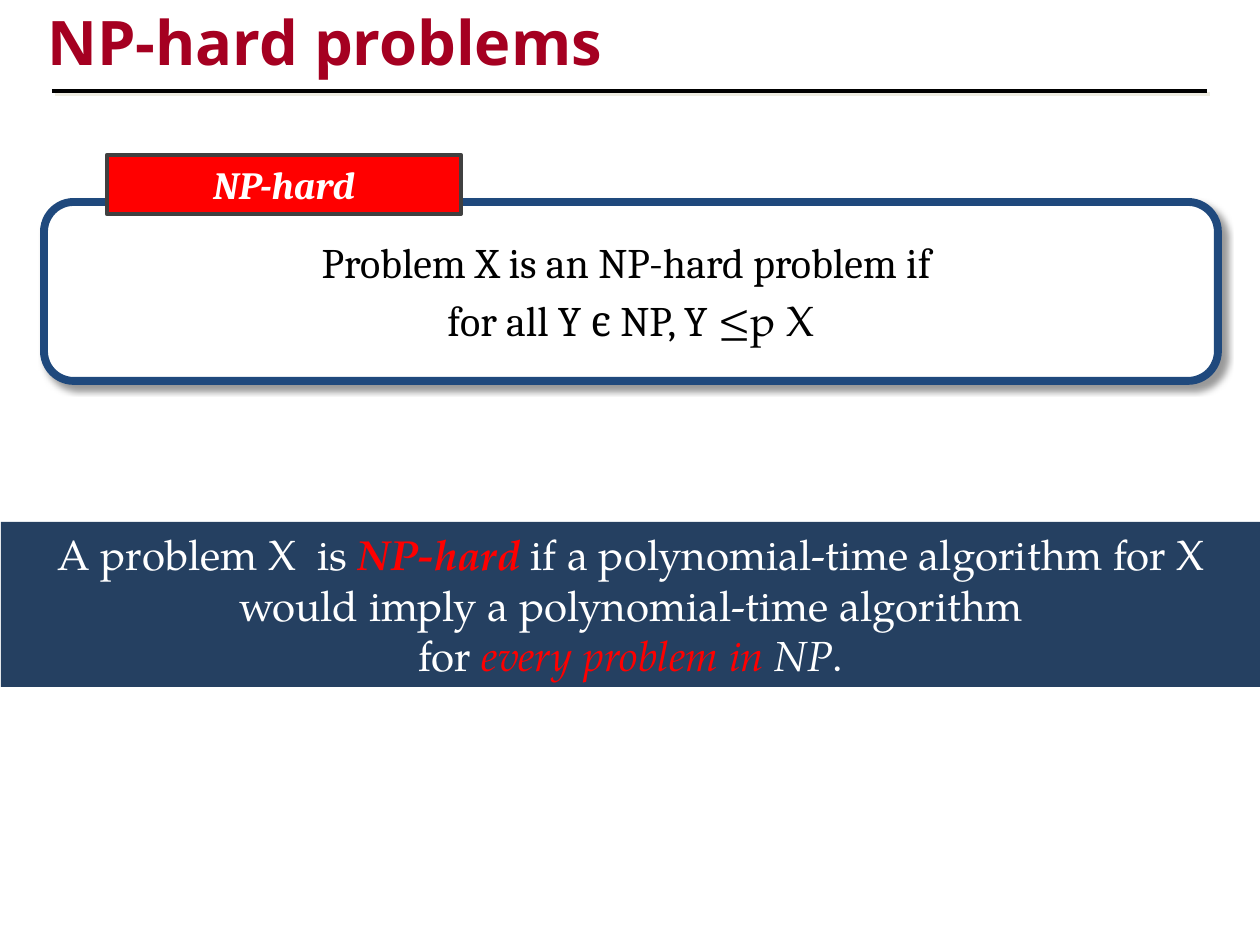
from lxml import etree
from pptx import Presentation
from pptx.dml.color import RGBColor
from pptx.enum.shapes import MSO_CONNECTOR, MSO_SHAPE
from pptx.enum.text import MSO_ANCHOR, PP_ALIGN
from pptx.oxml.ns import qn
from pptx.util import Emu, Pt

RECTANGLE = MSO_SHAPE.RECTANGLE
ROUNDED = MSO_SHAPE.ROUNDED_RECTANGLE
STRAIGHT = MSO_CONNECTOR.STRAIGHT
MIDDLE, TOP = MSO_ANCHOR.MIDDLE, MSO_ANCHOR.TOP
CENTER, LEFT = PP_ALIGN.CENTER, PP_ALIGN.LEFT
EMU_PER_PX = 914400 / 126
SANS, SERIF, PAGELLA = "Open Sans", "Cambria", "TeX Gyre Pagella"
COLORS = {
    "title": "A50021",
    "black": "000000",
    "white": "FFFFFF",
    "red": "FF0000",
    "frame": "1F497D",
    "tag_line": "404040",
    "banner": "254061",
    "soft_shadow": "EEECE1",
}


def px(length):
    """Turn a length in pixels into EMU."""
    return Emu(round(length * EMU_PER_PX))


def rgb(name):
    """Return the named colour."""
    return RGBColor.from_string(COLORS[name])


def add_shadow(properties, color, alpha, blur, distance):
    """Append an effect list with a shadow cast to the lower right."""
    effects = etree.SubElement(properties, qn("a:effectLst"))
    shadow = etree.SubElement(
        effects, qn("a:outerShdw"),
        blurRad=str(Pt(blur)), dist=str(Pt(distance)),
        dir=str(45 * 60000), algn="tl", rotWithShape="0",
    )
    tint = etree.SubElement(shadow, qn("a:srgbClr"), val=COLORS[color])
    etree.SubElement(tint, qn("a:alpha"), val=str(alpha * 1000))


def add_run(paragraph, text, font, size, color, bold=False, italic=False):
    """Add one formatted run and return it."""
    run = paragraph.add_run()
    run.text = text
    run.font.size = Pt(size)
    run.font.bold = bold
    run.font.italic = italic
    run.font.color.rgb = rgb(color)
    run.font.name = font
    return run


def add_paragraphs(shape, paragraphs, wrap=True):
    """Fill a shape with centred paragraphs, each a list of runs."""
    frame = shape.text_frame
    frame.word_wrap = wrap
    frame.vertical_anchor = MIDDLE
    for index, runs in enumerate(paragraphs):
        paragraph = frame.add_paragraph() if index else frame.paragraphs[0]
        paragraph.alignment = CENTER
        for run in runs:
            add_run(paragraph, *run)


def add_box(slide, kind, bounds, fill, line=None, width=0):
    """Add a filled shape, outlined when a line colour is given."""
    shape = slide.shapes.add_shape(kind, *map(px, bounds))
    shape.shadow.inherit = False
    shape.fill.solid()
    shape.fill.fore_color.rgb = rgb(fill)
    if line:
        shape.line.color.rgb = rgb(line)
        shape.line.width = Pt(width)
    else:
        shape.line.fill.background()
    return shape


def add_title(slide, text):
    """Add the shadowed slide title."""
    box = slide.shapes.add_textbox(px(35), px(1), px(1071), px(84))
    frame = box.text_frame
    frame.word_wrap = True
    frame.vertical_anchor = TOP
    frame.margin_top = px(3)
    paragraph = frame.paragraphs[0]
    paragraph.alignment = LEFT
    run = add_run(paragraph, text, SANS, 35.1, "title", True)
    properties = run.font._element if hasattr(run.font, "_element") else run._r.rPr
    add_shadow(properties, "soft_shadow", 100, 0, 2.8)
    properties.find(qn("a:effectLst")).addnext(properties.find(qn("a:latin")))


def add_rule(slide, left, right, y):
    """Add the shadowed line under the title."""
    rule = slide.shapes.add_connector(STRAIGHT, px(left), px(y), px(right), px(y))
    rule.line.color.rgb = rgb("black")
    rule.line.width = Pt(2.25)
    add_shadow(rule._element.spPr, "soft_shadow", 100, 0, 2.8)


def add_definition(slide):
    """Add the framed definition with its tag."""
    frame = add_box(slide, ROUNDED, (44, 202, 1174, 179), "white", "frame", 4.5)
    spPr = frame._element.spPr
    spPr.remove(spPr.find(qn("a:effectLst")))
    add_shadow(spPr, "black", 40, 4, 4)
    add_paragraphs(frame, [
        [("Problem X is an NP-hard problem if ", SERIF, 24, "black")],
        [
            ("for all Y є NP, Y", SERIF, 24, "black"),
            (" ", SERIF, 28, "black"),
            ("≤p X", PAGELLA, 24, "black"),
        ],
    ], wrap=False)
    tag = add_box(slide, RECTANGLE, (107, 155, 354, 59), "red", "tag_line", 2.5)
    add_paragraphs(tag, [[("NP-hard", SERIF, 22, "white", True, True)]])


def add_banner(slide):
    """Add the full-width statement."""
    banner = add_box(slide, RECTANGLE, (1, 522, 1260, 165), "banner")
    add_paragraphs(banner, [
        [
            ("A problem X  is ", PAGELLA, 24, "white"),
            ("NP-hard ", PAGELLA, 24, "red", True, True),
            ("if a polynomial-time algorithm for X would imply "
             "a polynomial-time algorithm", PAGELLA, 24, "white"),
        ],
        [
            ("for ", PAGELLA, 24, "white"),
            ("every problem in", PAGELLA, 24, "red", False, True),
            (" NP", PAGELLA, 24, "white", False, True),
            (".", PAGELLA, 24, "white"),
        ],
    ])


def main():
    """Build and save the slide."""
    presentation = Presentation()
    presentation.slide_width = px(1260)
    presentation.slide_height = px(945)
    slide = presentation.slides.add_slide(presentation.slide_layouts[6])
    add_title(slide, "NP-hard problems")
    add_rule(slide, 52, 1207, 91)
    add_definition(slide)
    add_banner(slide)
    presentation.save("out.pptx")


if __name__ == "__main__":
    main()
